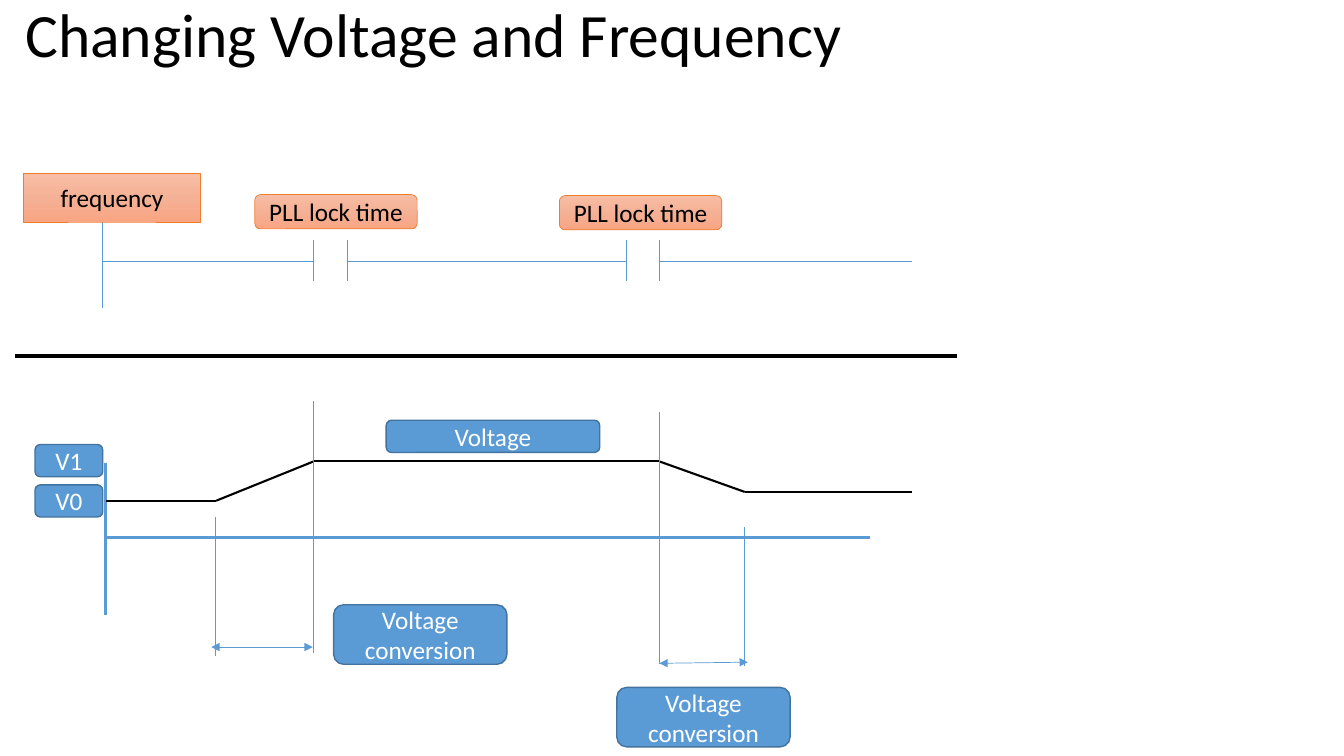
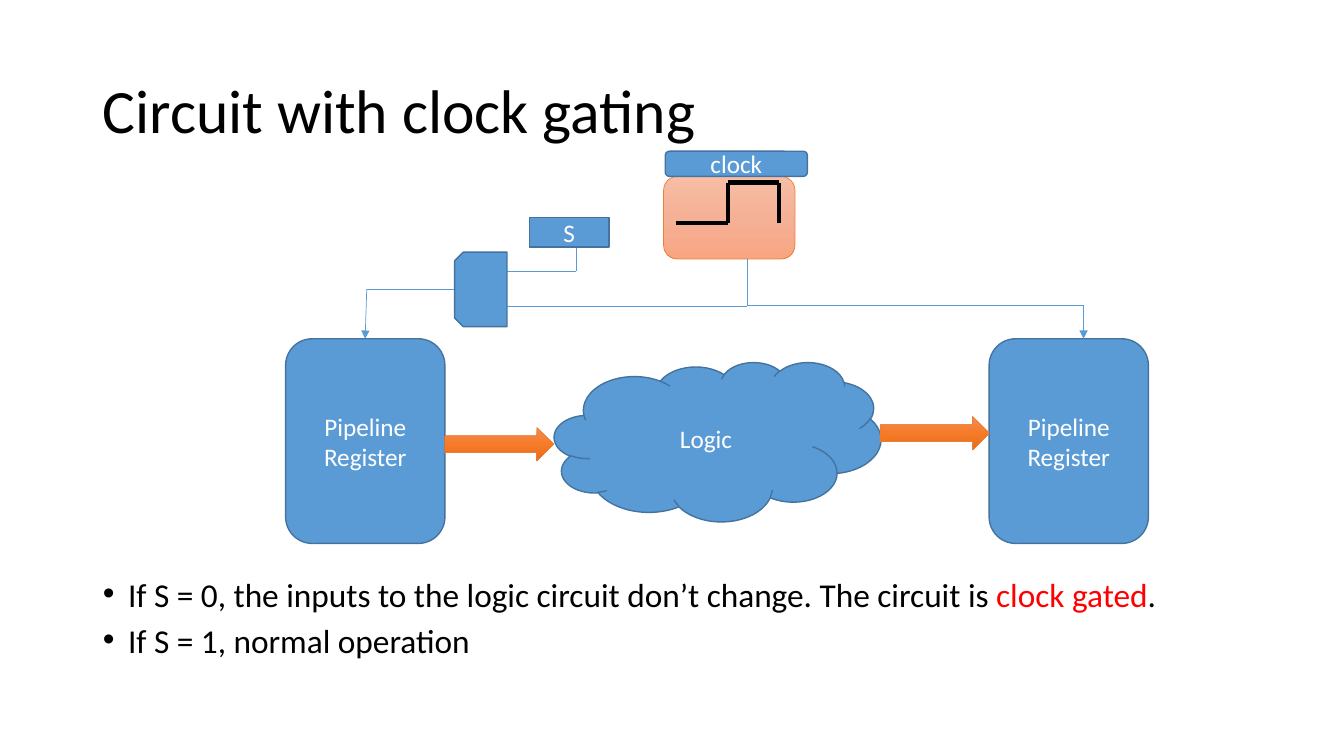
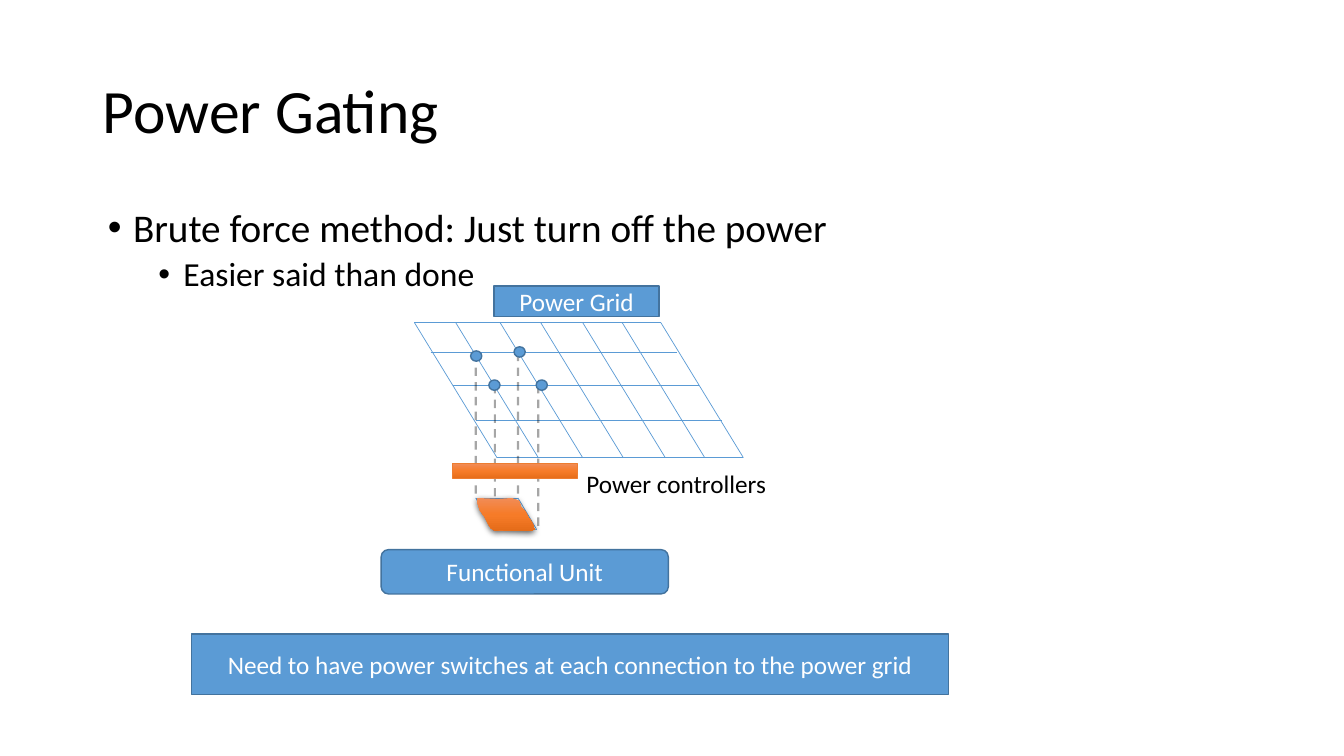
"""Build three slides on voltage scaling, clock gating and power gating."""
import dataclasses
import itertools

import pptx
import pptx.dml.color
import pptx.enum.dml
import pptx.enum.shapes
import pptx.enum.text
import pptx.oxml.ns
import pptx.util
from lxml import etree

Pt = pptx.util.Pt
SHAPES = pptx.enum.shapes.MSO_SHAPE


@dataclasses.dataclass(frozen=True)
class Theme:
    """Colours, font and type sizes of the deck."""
    font: str = "Calibri"
    ink: str = "000000"
    white: str = "FFFFFF"
    accent: str = "FF0000"
    blue: str = "5B9BD5"
    blue_edge: str = "43739E"
    orange_edge: str = "ED7D31"
    peach: tuple = ("F7BDA5", "F5B196", "F8A582")
    orange: tuple = ("F18C57", "F67B28", "E56C19")
    title_size: float = 44
    label_size: float = 18
    thin: float = 0.5


THEME = Theme()


def rgb(code):
    """Return the colour for a hexadecimal code."""
    return pptx.dml.color.RGBColor.from_string(code)


def add_element(parent, tag, **attributes):
    """Append a drawing element to a parent and return it."""
    return etree.SubElement(parent, pptx.oxml.ns.qn(tag), attributes)


def style_font(font, size, colour):
    """Apply the deck font in a size and colour."""
    font.name = THEME.font
    font.size = Pt(size)
    font.color.rgb = rgb(colour)


def paint(shape, fill, edge):
    """Fill a shape with one colour or a three-stop downward gradient."""
    shape.shadow.inherit = False
    if isinstance(fill, str):
        shape.fill.solid()
        shape.fill.fore_color.rgb = rgb(fill)
    else:
        shape.fill.gradient()
        shape.fill.gradient_angle = 270
        stop_list = shape._element.spPr.find(".//" + pptx.oxml.ns.qn("a:gsLst"))
        for stop in list(stop_list):
            stop_list.remove(stop)
        for position, colour in zip((0, 50000, 100000), fill):
            stop = add_element(stop_list, "a:gs", pos=str(position))
            add_element(stop, "a:srgbClr", val=colour)
    if edge:
        shape.line.color.rgb = rgb(edge)
        shape.line.width = Pt(1 if edge == THEME.blue_edge else THEME.thin)
    else:
        shape.line.fill.background()


@dataclasses.dataclass
class Region:
    """A part of a page whose contents are placed from its top left corner."""
    page: object
    left: float
    top: float

    def point(self, x, y):
        """Return a page position for a position in the region."""
        return Pt(self.left + x), Pt(self.top + y)

    def shape(self, box, text="", kind=SHAPES.ROUNDED_RECTANGLE,
              fill=THEME.blue, edge=THEME.blue_edge, ink=THEME.white):
        """Add a painted shape with centred text."""
        x, y, width, height = box
        shape = self.page.shapes.add_shape(kind, *self.point(x, y), Pt(width), Pt(height))
        paint(shape, fill, edge)
        if text:
            frame = shape.text_frame
            frame.text = text
            frame.word_wrap = True
            frame.vertical_anchor = pptx.enum.text.MSO_ANCHOR.MIDDLE
            para = frame.paragraphs[0]
            para.alignment = pptx.enum.text.PP_ALIGN.CENTER
            style_font(para.runs[0].font, THEME.label_size, ink)
        return shape

    def warm(self, box, text="", kind=SHAPES.ROUNDED_RECTANGLE, fill=THEME.peach):
        """Add an orange or peach shape with dark text."""
        return self.shape(box, text, kind, fill, THEME.orange_edge, THEME.ink)

    def line(self, start, end, colour=THEME.blue, width=THEME.thin, heads=(), dashed=False):
        """Add a straight line with optional arrowheads or faint dashes."""
        line = self.page.shapes.add_connector(
            pptx.enum.shapes.MSO_CONNECTOR.STRAIGHT, *self.point(*start), *self.point(*end))
        line.line.color.rgb = rgb(colour)
        line.line.width = Pt(width)
        properties = line._element.spPr
        outline = properties.find(pptx.oxml.ns.qn("a:ln"))
        if dashed:
            line.line.dash_style = pptx.enum.dml.MSO_LINE.DASH
            add_element(outline.find(".//" + pptx.oxml.ns.qn("a:srgbClr")), "a:alpha", val="34000")
        for head in heads:
            add_element(outline, head, type="triangle")
        add_element(properties, "a:effectLst")

    def trace(self, points, colour=THEME.blue, width=THEME.thin, arrow=False):
        """Join points by lines, the last with an arrowhead on request."""
        for number, (start, end) in enumerate(itertools.pairwise(points), 2):
            heads = ("a:tailEnd",) if arrow and number == len(points) else ()
            self.line(start, end, colour, width, heads)


def place(holder, left, top, width, height):
    """Move a placeholder and keep its text at full size."""
    holder.left, holder.top, holder.width, holder.height = map(Pt, (left, top, width, height))
    holder.text_frame.auto_size = pptx.enum.text.MSO_AUTO_SIZE.NONE
    holder.text_frame.word_wrap = True


def add_page(deck, layout, title, left=66.24, top=28.8):
    """Add a page with a left-aligned title."""
    page = deck.slides.add_slide(deck.slide_layouts[layout])
    holder = page.shapes.title
    place(holder, left, top, 828, 104.4)
    holder.text_frame.text = title
    holder.text_frame.vertical_anchor = pptx.enum.text.MSO_ANCHOR.MIDDLE
    para = holder.text_frame.paragraphs[0]
    para.alignment = pptx.enum.text.PP_ALIGN.LEFT
    para.line_spacing = 0.9
    style_font(para.runs[0].font, THEME.title_size, THEME.ink)
    return page


def fill_list(page, box, items, spacing):
    """Fill the body placeholder with (level, size, spans) bullets."""
    holder = page.placeholders[1]
    place(holder, *box)
    frame = holder.text_frame
    for number, (level, size, spans) in enumerate(items):
        para = frame.add_paragraph() if number else frame.paragraphs[0]
        para.level = level
        properties = para._p.get_or_add_pPr()
        properties.set("marL", str(Pt(18 + 36 * level)))
        properties.set("indent", str(Pt(-18)))
        add_element(properties, "a:buFont", typeface="Arial")
        add_element(properties, "a:buChar", char="•")
        para.line_spacing = spacing
        para.space_before = Pt((5 if level else 10) if number else 0)
        for text, colour in spans:
            span = para.add_run()
            span.text = text
            style_font(span.font, size, colour)


def draw_frequency(region):
    """Draw the frequency time line with its two lock gaps."""
    region.line((56.4, 96), (56.4, 34.6))
    ticks = (207, 230.8, 430.2, 454)
    for x in ticks:
        region.line((x, 47.4), (x, 77))
    ends = (56.4, *ticks, 634.6)
    for start, end in zip(ends[::2], ends[1::2]):
        region.line((start, 62.4), (end, 62.4))
    region.warm((0, 0, 126, 34.6), "frequency", SHAPES.RECTANGLE)
    for x, y in ((165, 15), (382.6, 15.7)):
        region.warm((x, y, 116, 24.5), "PLL lock time")


def draw_voltage(region):
    """Draw the voltage curve, its axes, guides and labels."""
    region.line((50.6, 45), (50.6, 153), width=2.25)
    region.line((50.6, 97.8), (596.4, 97.8), width=2.25)
    region.trace(((50.6, 71.7), (129.4, 71.7), (199, 43.6), (446, 43.6),
                  (507, 65.4), (626.6, 65.4)), THEME.ink, 1.5)
    for number, level in enumerate(("V1", "V0")):
        region.shape((0, 31.5 + 28.8 * number, 48.4, 23), level)
    for x, top, bottom in ((129, 83.4, 182.8), (198.6, 0.6, 180.6),
                           (446, 8.5, 188.5), (506.4, 90.6, 190)):
        region.line((x, top), (x, bottom))
    for start, end in (((126, 176.2), (198.4, 176.2)), ((446, 187.8), (509.2, 187))):
        region.line(start, end, heads=("a:headEnd", "a:tailEnd"))
    for x, y in ((213.3, 146), (415.6, 205)):
        region.shape((x, y, 123.8, 42.5), "Voltage conversion")
    region.shape((250.8, 14.2, 152.6, 23), "Voltage")


def draw_clock(region):
    """Draw the clock box, its pulse and its label."""
    region.warm((0, 18, 93.8, 59))
    region.trace(((9.2, 51.2), (46, 51.2), (46, 22.4), (82.6, 22.4), (82.6, 51.2)), THEME.ink, 3)
    region.shape((1.2, 0, 101.5, 18), "clock")


def draw_pipeline(region):
    """Draw two registers around the logic cloud."""
    for x in (0, 502.5):
        region.shape((x, 0, 113.8, 146.2), "Pipeline Register")
    region.shape((192, 16.6, 233.3, 113.8), "Logic", SHAPES.CLOUD)
    for x, y in ((113.6, 63.4), (424.8, 55.5)):
        region.warm((x, y, 77.8, 23.8), kind=SHAPES.RIGHT_ARROW, fill=THEME.orange)


def draw_gating(region):
    """Draw the gate, the select input and the clock wires."""
    region.trace(((120, 98.6), (58, 98.6), (56.8, 134)), arrow=True)
    region.trace(((329.5, 77), (329.5, 110.4), (570, 110.4), (570, 134)), arrow=True)
    region.line((329.5, 110.9), (158, 110.9))
    region.trace(((207.8, 51.2), (207.8, 85.7), (157.4, 85.7)))
    gate = region.shape((112.8, 80, 53.3, 37.4), kind=SHAPES.SNIP_2_SAME_RECTANGLE)
    gate.rotation = 270
    region.shape((174, 47.5, 57, 21), "S", SHAPES.RECTANGLE)


def draw_mesh(region):
    """Draw the slanted power grid."""
    width, depth, slant = 176, 96.5, 59
    for y, shift in ((0, 0), (21.6, 11.6), (44.6, 27.4), (69.8, 43.8), (depth, slant)):
        region.line((shift, y), (shift + width, y))
    for x in (0, 29.5, 61.2, 90.2, 120.2, 148.4, width):
        region.line((x, 0), (x + slant, depth))


def draw_taps(region):
    """Draw the dashed drops and the dots where they leave the grid."""
    for x, y in ((57.5, 44.6), (88.5, 44.6), (43.8, 21.6), (74, 21.6)):
        region.line((x, y), (x, y + 103.7), THEME.ink, 1.5, dashed=True)
    for x, y in ((40.2, 20.2), (71.2, 17.3), (53.2, 41), (87, 41)):
        region.shape((x, y, 8, 7.4), kind=SHAPES.OVAL)


def draw_unit(region):
    """Draw the tile of the functional unit with a soft shadow."""
    region.trace(((0, 0), (30.2, 0), (43.6, 22.6), (13.7, 23), (0, 0)))
    outline = ((0.8, 0), (15.9, 0.7), (26, 0), (31, 2.1), (32.4, 6.5), (35.3, 9.3),
               (37.5, 13.7), (39.6, 16.5), (42.5, 22.3), (38.9, 23.7), (16.6, 23),
               (14.4, 23.7), (10.8, 21.6), (8.7, 18), (6.5, 13.7), (2.9, 8.6), (1.5, 4.3))
    points = [region.point(x, y) for x, y in outline]
    builder = region.page.shapes.build_freeform(*points[0])
    builder.add_line_segments(points[1:], close=True)
    tile = builder.convert_to_shape()
    paint(tile, THEME.orange, None)
    effects = tile._element.spPr.find(pptx.oxml.ns.qn("a:effectLst"))
    shadow = add_element(effects, "a:outerShdw", blurRad=str(Pt(4.5)), dist=str(Pt(1.5)),
                         dir="5400000", rotWithShape="0")
    colour = add_element(shadow, "a:srgbClr", val=THEME.ink)
    add_element(colour, "a:alpha", val="63000")


def draw_labels(region):
    """Draw the captions of the power grid and the controller bar."""
    region.shape((135.4, 188.2, 205.2, 31.7), "Functional Unit")
    region.shape((216, 0, 118, 21.8), "Power Grid", SHAPES.RECTANGLE)
    region.shape((0, 248.6, 540.7, 43.2),
                 "Need to have power switches at each connection to the power grid",
                 SHAPES.RECTANGLE)
    region.warm((186.6, 126.8, 88.8, 10.8), kind=SHAPES.RECTANGLE, fill=THEME.orange)
    caption = region.page.shapes.add_textbox(*region.point(275, 126.8), Pt(144), Pt(28.8))
    caption.text_frame.text = "Power controllers"
    caption.text_frame.word_wrap = False
    style_font(caption.text_frame.paragraphs[0].runs[0].font, THEME.label_size, THEME.ink)


def scaling_page(deck):
    """Add the page on changing voltage and frequency."""
    page = add_page(deck, 5, "Changing Voltage and Frequency", 10.8, -25.2)
    draw_voltage(Region(page, 25, 286))
    draw_frequency(Region(page, 17, 124))
    Region(page, 10.8, 254.2).line((0, 0), (672.5, 0), THEME.ink, 3)


def clock_page(deck):
    """Add the page on clock gating."""
    page = add_page(deck, 1, "Circuit with clock gating")
    fill_list(page, (66.24, 411.8, 828, 74.2), (
        (0, 23.8, (
            ("If S = 0, the inputs to the logic circuit don’t change. The circuit is ", THEME.ink),
            ("clock gated", THEME.accent), (".", THEME.ink))),
        (0, 23.8, (("If S = 1, normal operation", THEME.ink),))), 0.8)
    draw_clock(Region(page, 474, 108))
    draw_pipeline(Region(page, 204, 242))
    draw_gating(Region(page, 204, 108))


def power_page(deck):
    """Add the page on power gating."""
    page = add_page(deck, 1, "Power Gating")
    fill_list(page, (69.84, 145.4, 828, 342.7), (
        (0, 28, (("Brute force method: Just turn off the power", THEME.ink),)),
        (1, 24, (("Easier said than done", THEME.ink),))), 0.9)
    grid = Region(page, 296, 230.4)
    draw_mesh(grid)
    draw_taps(grid)
    draw_unit(Region(page, 339.8, 355.7))
    draw_labels(Region(page, 136.8, 204.4))


def main():
    """Build and save the deck."""
    deck = pptx.Presentation()
    deck.slide_width, deck.slide_height = Pt(960), Pt(540)
    scaling_page(deck)
    clock_page(deck)
    power_page(deck)
    deck.save("out.pptx")


if __name__ == "__main__":
    main()
